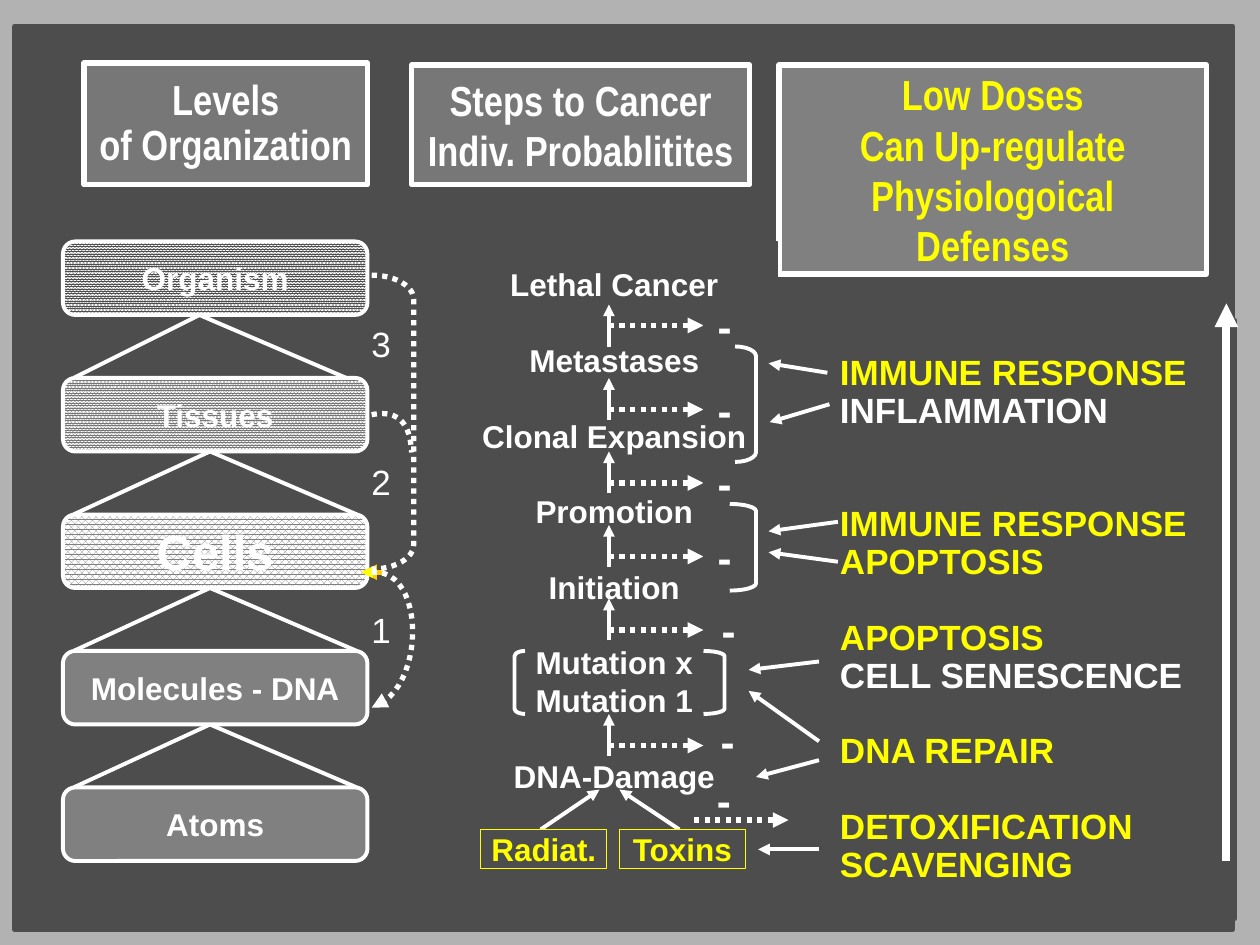
import pptx
import pptx.util
import pptx.oxml
import pptx.oxml.ns
import pptx.dml.color
import pptx.enum.dml
import pptx.enum.shapes
import pptx.enum.text

RGB = pptx.dml.color.RGBColor
WHITE, YELLOW, GOLD = RGB(255, 255, 255), RGB(255, 255, 0), RGB(255, 204, 0)
BACK, PANEL = RGB(0xB2, 0xB2, 0xB2), RGB(0x4D, 0x4D, 0x4D)
GREY, DARK_GREY = RGB(0x80, 0x80, 0x80), RGB(0x77, 0x77, 0x77)
SHAPE = pptx.enum.shapes.MSO_SHAPE
PATTERN = pptx.enum.dml.MSO_PATTERN
DOTS = pptx.enum.dml.MSO_LINE.ROUND_DOT
ALIGN = pptx.enum.text.PP_ALIGN
ANCHOR = pptx.enum.text.MSO_ANCHOR
Pt = pptx.util.Pt
CELL = pptx.util.Inches(1) / 12  # grid of 120 columns by 90 rows


def grid(*cells):
    return [round(c * CELL) for c in cells]


def set_all(obj, values):
    for name, value in values.items():
        setattr(obj, name, value)


def style_line(sp, color, width, dotted=False, arrow=False):
    sp.line.color.rgb = color
    sp.line.width = Pt(width)
    if dotted:
        sp.line.dash_style = DOTS
    if arrow:
        ln = sp.line._get_or_add_ln()
        ln.append(pptx.oxml.parse_xml('<a:tailEnd %s type="triangle"/>' % pptx.oxml.ns.nsdecls("a")))


def line(s, x1, y1, x2, y2, color=WHITE, width=2.25, dotted=False, arrow=True):
    sp = s.shapes.add_connector(pptx.enum.shapes.MSO_CONNECTOR.STRAIGHT, *grid(x1, y1, x2, y2))
    style_line(sp, color, width, dotted, arrow)
    sp._element.spPr.append(pptx.oxml.parse_xml("<a:effectLst %s/>" % pptx.oxml.ns.nsdecls("a")))


def curve(s, points, arrow=False):
    """Dotted cubic curve through a start, two controls and an end."""
    steps = [i / 24 for i in range(25)]
    weights = [((1 - t) ** 3, 3 * t * (1 - t) ** 2, 3 * t * t * (1 - t), t ** 3) for t in steps]
    dots = [grid(*(sum(w * p[k] for w, p in zip(ws, points)) for k in (0, 1))) for ws in weights]
    builder = s.shapes.build_freeform(*dots[0])
    builder.add_line_segments(dots[1:], close=False)
    sp = builder.convert_to_shape()
    sp.fill.background()
    sp.shadow.inherit = False
    style_line(sp, WHITE, 3, True, arrow)


def shape(s, kind, box, fill=None, color=WHITE, width=2.25, dotted=False, adj=None):
    sp = s.shapes.add_shape(kind, *grid(*box))
    sp.shadow.inherit = False
    paint(sp, fill, color, width, dotted)
    if adj:
        sp.adjustments[0] = adj
    return sp


def paint(sp, fill, color, width, dotted=False):
    if fill is None:
        sp.fill.background()
    else:
        sp.fill.solid()
        sp.fill.fore_color.rgb = fill
    style_line(sp, color, width, dotted)


def write(sp, rows, size, color=WHITE, font="Arial", bold=True, spacing=None,
          align=ALIGN.CENTER, anchor=ANCHOR.MIDDLE, top=0.05):
    """Rows are (text, blank lines before, colour)."""
    tf = sp.text_frame
    set_all(tf, {"auto_size": pptx.enum.text.MSO_AUTO_SIZE.NONE, "vertical_anchor": anchor,
                 "word_wrap": align == ALIGN.LEFT, "margin_top": pptx.util.Inches(top)})
    for i, (text, gap, row_color) in enumerate(rows):
        p = tf.add_paragraph() if i else tf.paragraphs[0]
        set_all(p, {"alignment": align, "space_before": Pt(gap * (spacing or 0)), "space_after": Pt(0)})
        if spacing:
            p.line_spacing = Pt(spacing)
        if sp.is_placeholder:
            pPr = p._p.get_or_add_pPr()
            pPr.set("marL", "0")
            pPr.set("indent", "0")
            pPr.append(pptx.oxml.parse_xml("<a:buNone %s/>" % pptx.oxml.ns.nsdecls("a")))
        r = p.add_run()
        r.text = text
        set_all(r.font, {"size": Pt(size), "bold": bold, "name": font})
        r.font.color.rgb = row_color or color


def place(sp, box):
    set_all(sp, dict(zip(("left", "top", "width", "height"), grid(*box))))


def heading(sp, box, lines, fill, color, spacing):
    place(sp, box)
    paint(sp, fill, WHITE, 3)
    write(sp, [(t, 0, None) for t in lines], 24, color, "Arial Narrow", spacing=spacing)


def levels(s, x, y):
    rows = [("Organism", 18, PATTERN.PERCENT_90, PANEL), ("Tissues", 18, PATTERN.PERCENT_90, DARK_GREY),
            ("Cells", 28, PATTERN.PERCENT_75, GREY), ("Molecules - DNA", 18, None, GREY),
            ("Atoms", 18, None, GREY)]
    for i, (name, size, pattern, fill) in enumerate(rows):
        top = y + 13 * i
        sp = shape(s, SHAPE.ROUNDED_RECTANGLE, (x, top, 29, 7), fill)
        if pattern:
            sp.fill.patterned()
            sp.fill.pattern = pattern
            sp.fill.fore_color.rgb, sp.fill.back_color.rgb = fill, WHITE
        write(sp, [(name, 0, None)], size)
        if i < len(rows) - 1:
            shift = 0 if i else 1
            for foot in (1, 28 - shift):
                line(s, x + foot, top + 13, x + 14 - shift, top + 7, arrow=False)
    # Feedback loops and their numbers
    for number, top in (("1", 34.2), ("2", 20.1), ("3", 6.9)):
        sp = shape(s, SHAPE.OVAL, (x + 28.4, y + top, 3.8, 5.6), PANEL, PANEL, 0.75)
        write(sp, [(number, 0, None)], 20, bold=False)
    line(s, x + 30.5, y + 31.5, x + 28.4, y + 31.5, GOLD, 3)
    line(s, x + 29.4, y + 31.5, x + 28.4, y + 31.5, YELLOW)
    shape(s, SHAPE.RIGHT_BRACKET, (x + 29.4, y + 3.2, 4, 28), width=3, dotted=True, adj=0.58)
    curve(s, [(x + a, y + b) for a, b in ((29.4, 16.5), (31.9, 16), (33.1, 17.3), (33.2, 20.1))])
    curve(s, [(x + a, y + b) for a, b in ((29.4, 31.5), (34.6, 31), (34.6, 42.8), (29.4, 44.4))], True)


def steps(s, sp, x, y):
    place(sp, (x, y, 31, 62))
    paint(sp, PANEL, PANEL, 0.75)
    names = ["Lethal Cancer", "Metastases", "Clonal Expansion", "Promotion", "Initiation",
             "Mutation x", "Mutation 1", "DNA-Damage"]
    write(sp, [(n, int(n not in (names[0], "Mutation 1")), None) for n in names], 18,
          spacing=21.6, anchor=ANCHOR.TOP, top=0.19)
    # Progress arrows, and dotted side arrows that end in a minus sign
    for base, side, dash_x, dash_y in ((10, 8, 24, 6), (17, 16, 24, 14), (24, 23, 24, 21),
                                       (31, 30, 24, 28), (38, 37, 24.4, 35), (49, 48, 24.3, 45.5)):
        line(s, x + 15, y + base, x + 15, y + base - 4)
        line(s, x + 15, y + side, x + 24, y + side, width=3, dotted=True)
        minus(s, x + dash_x, y + dash_y, 4, 4)
    line(s, x + 23.1, y + 55.1, x + 32.1, y + 55.1, width=3, dotted=True)
    minus(s, x + 24.5, y + 52.2, 2.9, 1.9)
    # Brackets
    for kind, left, top, w, h, adj in ((SHAPE.RIGHT_BRACKET, 27, 10, 2, 11, 0.46),
                                       (SHAPE.RIGHT_BRACKET, 26.5, 25, 2.5, 8.25, 0.27),
                                       (SHAPE.RIGHT_BRACKET, 24, 39, 2, 6, 0.25),
                                       (SHAPE.LEFT_BRACKET, 6, 39, 1, 6, 0.5)):
        shape(s, kind, (x + left, y + top, w, h), adj=adj)
    # Causes
    for name, left, start, end in (("Radiat.", 2.8, 8.5, 14.1), ("Toxins", 16, 21.7, 16)):
        line(s, x + start, y + 56, x + end, y + 52.2)
        box = shape(s, SHAPE.RECTANGLE, (x + left, y + 56, 12, 3.75), PANEL, YELLOW, 0.75)
        write(box, [(name, 0, None)], 18, YELLOW)


def minus(s, x, y, w, h):
    write(shape(s, SHAPE.OVAL, (x, y, w, h), PANEL, PANEL, 0.75), [("-", 0, None)], 24)


def defenses(s, sp, x, y):
    place(sp, (x, y, 38.8, 57))
    paint(sp, PANEL, PANEL, 3)
    rows = [("IMMUNE RESPONSE", 0, None), ("INFLAMMATION", 0, WHITE), ("IMMUNE RESPONSE", 2, None),
            ("APOPTOSIS", 0, None), ("APOPTOSIS", 1, None), ("CELL SENESCENCE", 0, WHITE),
            ("DNA REPAIR", 1, None), ("DETOXIFICATION", 1, None), ("SCAVENGING", 0, None)]
    write(sp, rows, 20, YELLOW, spacing=21.6, align=ALIGN.LEFT)
    # Arrows to the steps
    for x1, y1, x2, y2 in ((0, 5, -5.6, 4.1), (0.2, 8, -5.5, 9.7), (1, 19.2, -5.6, 20.1),
                           (1, 23, -5.6, 22.1), (-0.8, 32.5, -7.5, 33.3), (-0.8, 40.1, -7.5, 35.3),
                           (-0.8, 41.9, -6.8, 43.5), (-0.8, 50.4, -6.6, 50.4)):
        line(s, x + x1, y + y1, x + x2, y + y2)
    line(s, x + 38, y + 51.5, x + 38, y - 1.6, width=4.5)


prs = pptx.Presentation()
prs.slide_width, prs.slide_height = grid(120, 90)
s = prs.slides.add_slide(prs.slide_layouts.get_by_name("Comparison"))
s.background.fill.solid()
s.background.fill.fore_color.rgb = BACK
ph = {p.placeholder_format.idx: p for p in s.placeholders}
for idx in [i for i in ph if i > 4]:
    ph[idx]._element.getparent().remove(ph[idx]._element)

# Panel behind everything
panel = shape(s, SHAPE.RECTANGLE, (1.4, 2.5, 116, 86), PANEL, PANEL, 3)
s.shapes._spTree.insert(2, panel._element)

# Headings
heading(ph[0], (8, 6, 27, 11.6), ["Levels", "of Organization"], DARK_GREY, WHITE, 25.9)
heading(ph[1], (39.2, 6.2, 32.2, 11.4), ["Steps to Cancer", "Indiv. Probablitites"], DARK_GREY, WHITE, 28.8)
heading(ph[3], (74.2, 6.2, 40.7, 19.9), ["Low Doses", "Can Up-regulate", "Physiologoical Defenses"],
        GREY, YELLOW, 28.8)

# Columns
levels(s, 6, 23)
steps(s, ph[4], 43, 23)
defenses(s, ph[2], 78.8, 30.5)
prs.save("out.pptx")
